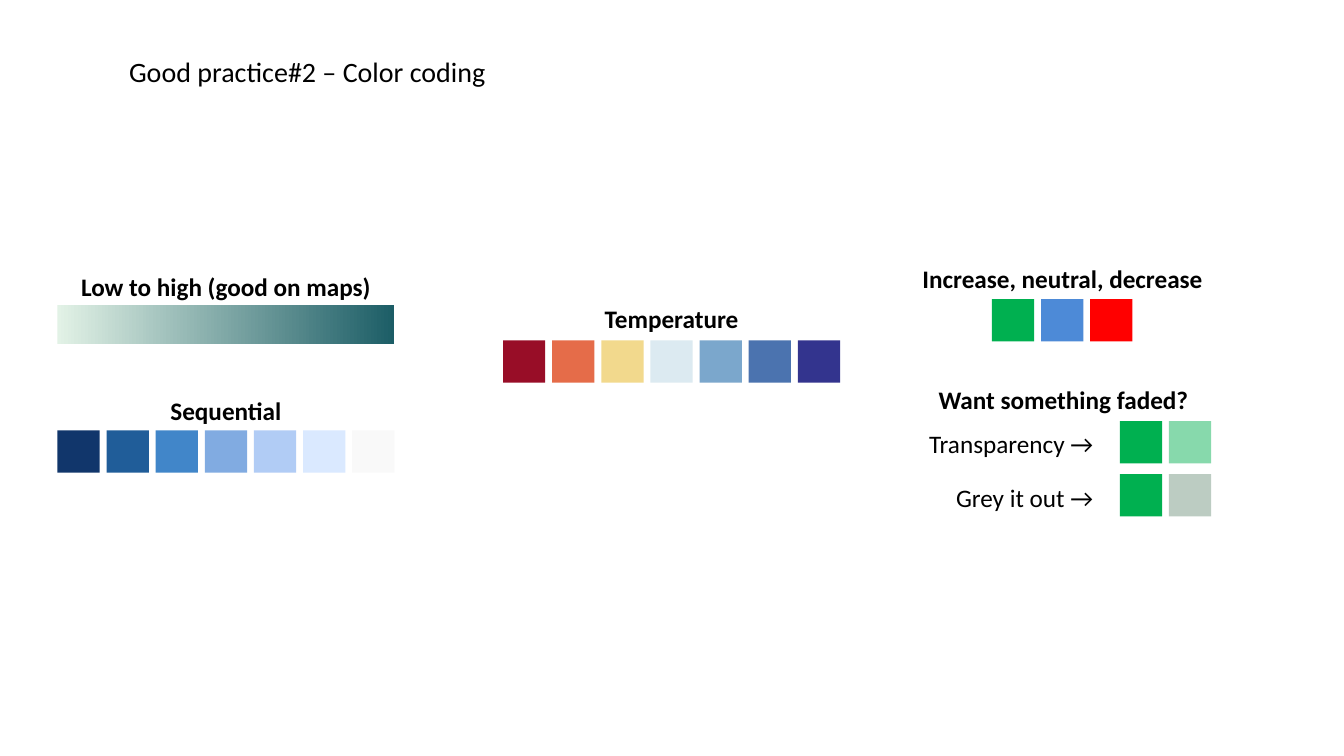
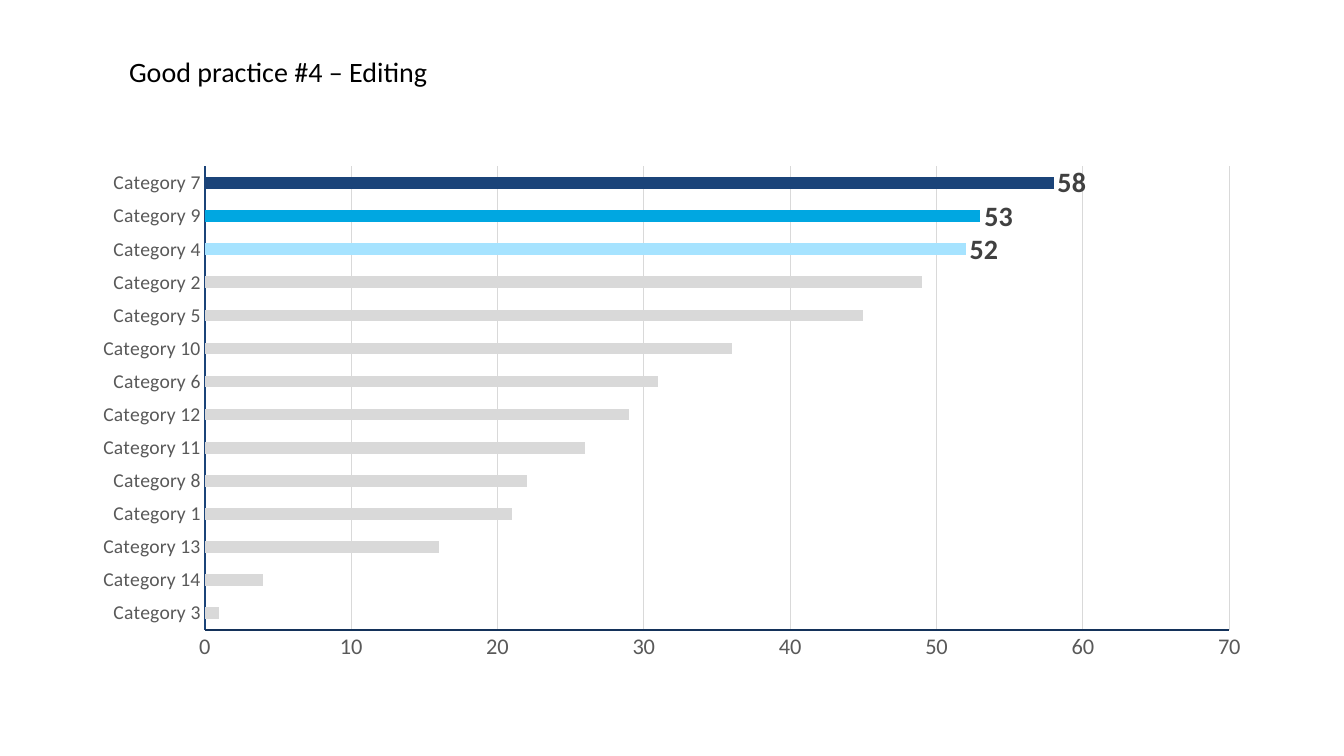
from dataclasses import dataclass

from lxml.etree import SubElement
from pptx import Presentation
from pptx.chart.data import CategoryChartData
from pptx.dml.color import RGBColor
from pptx.enum.chart import XL_CHART_TYPE, XL_LABEL_POSITION, XL_TICK_MARK
from pptx.enum.shapes import MSO_SHAPE
from pptx.enum.text import MSO_ANCHOR, MSO_AUTO_SIZE, PP_ALIGN
from pptx.oxml.ns import qn
from pptx.util import Pt

COLOR_TITLE = "Good practice#2 – Color coding"
CHART_TITLE = "Good practice #4 – Editing"

PANELS = [
    {"heading": ("Low to high (good on maps)", 41, 190),
     "gradient": ("E2F2E6", "1C5D66", 41, 218.2)},
    {"heading": ("Sequential", 41, 278.6),
     "rows": [(41, 307.4, ["11366B", "205D99", "4186C9", "81ABE1",
                           "B1CCF5", "DAE9FF", "F9F9F9"])]},
    {"heading": ("Temperature", 359.3, 213.1),
     "rows": [(359.3, 243.2, ["980D27", "E56C49", "F2D98D", "DCEAF1",
                              "7BA7CC", "4B73AF", "33348E"])]},
    {"heading": ("Increase, neutral, decrease", 638.6, 184.3),
     "rows": [(708.5, 213.6, ["00B050", "4D8AD7", "FF0000"])]},
    {"heading": ("Want something faded?", 639.2, 270.7),
     "labels": [("Transparency →", 638, 302.6), ("Grey it out →", 638, 340.6)],
     "rows": [(799.9, 300.8, ["00B050", ("00B050", 47)]),
              (799.9, 338.6, ["00B050", "BCCCC2"])]},
]

BARS = [
    ("Category 3", 1), ("Category 14", 4), ("Category 13", 16),
    ("Category 1", 21), ("Category 8", 22), ("Category 11", 26),
    ("Category 12", 29), ("Category 6", 31), ("Category 10", 36),
    ("Category 5", 45), ("Category 2", 49), ("Category 4", 52),
    ("Category 9", 53), ("Category 7", 58),
]
HIGHLIGHTS = {"Category 4": "A6E3FF", "Category 9": "00A7E1", "Category 7": "1B4479"}


@dataclass(frozen=True)
class Theme:
    font: str = "Calibri"
    text: str = "000000"
    axis_text: str = "595959"
    label_text: str = "404040"
    bar: str = "D9D9D9"
    grid: str = "D9D9D9"
    category_line: str = "1B4479"
    value_line: str = "14325A"
    title_size: float = 20
    body_size: float = 18
    category_size: float = 14
    value_size: float = 16
    label_size: float = 20
    chart_size: float = 10


THEME = Theme()
SQUARE = 30.2
PITCH = 35.1
PANEL_WIDTH = 6 * PITCH + SQUARE
GRADIENT_HEIGHT = 27.4
LABEL_WIDTH = 150
TEXT_HEIGHT = 29


def points(*lengths):
    return [Pt(length) for length in lengths]


def rgb(value):
    return RGBColor.from_string(value)


def apply_format(target, values):
    for name, value in values.items():
        setattr(target, name, value)


def style_font(font, size, color, bold=False):
    apply_format(font, {"name": THEME.font, "size": Pt(size), "bold": bold})
    font.color.rgb = rgb(color)


def style_line(line, color, width):
    line.color.rgb = rgb(color)
    line.width = Pt(width)


def add_titled_slide(presentation, text):
    slide = presentation.slides.add_slide(presentation.slide_layouts[5])
    title = slide.shapes.title
    left, top, width, height = points(92.2, 38.9, 319, 27.4)
    apply_format(title, {"left": left, "top": top, "width": width, "height": height})
    frame = title.text_frame
    apply_format(frame, {
        "text": text, "word_wrap": True, "auto_size": MSO_AUTO_SIZE.NONE,
        "vertical_anchor": MSO_ANCHOR.MIDDLE, "margin_left": 0,
        "margin_right": 0, "margin_top": 0, "margin_bottom": 0,
    })
    paragraph = frame.paragraphs[0]
    apply_format(paragraph, {"alignment": PP_ALIGN.LEFT, "line_spacing": 0.9})
    style_font(paragraph.runs[0].font, THEME.title_size, THEME.text)
    return slide


def add_text(shapes, text, left, top, width, alignment, bold=False):
    box = shapes.add_textbox(*points(left, top, width, TEXT_HEIGHT))
    apply_format(box.text_frame, {
        "text": text, "word_wrap": True, "auto_size": MSO_AUTO_SIZE.SHAPE_TO_FIT_TEXT,
    })
    paragraph = box.text_frame.paragraphs[0]
    paragraph.alignment = alignment
    style_font(paragraph.runs[0].font, THEME.body_size, THEME.text, bold)


def add_rectangle(shapes, left, top, width, height):
    shape = shapes.add_shape(MSO_SHAPE.RECTANGLE, *points(left, top, width, height))
    shape.shadow.inherit = False
    shape.line.fill.background()
    return shape


def add_swatch(shapes, left, top, color):
    value, opacity = color if isinstance(color, tuple) else (color, 100)
    shape = add_rectangle(shapes, left, top, SQUARE, SQUARE)
    shape.fill.solid()
    shape.fill.fore_color.rgb = rgb(value)
    if opacity < 100:
        fill_color = shape.element.find(".//" + qn("a:srgbClr"))
        SubElement(fill_color, qn("a:alpha"), val=str(opacity * 1000))


def add_gradient(shapes, start, end, left, top):
    shape = add_rectangle(shapes, left, top, PANEL_WIDTH, GRADIENT_HEIGHT)
    shape.fill.gradient()
    shape.fill.gradient_angle = 0
    for stop, color, position in zip(shape.fill.gradient_stops, (start, end), (0, 1)):
        stop.color.rgb = rgb(color)
        stop.position = position


def add_panel(slide, panel):
    shapes = slide.shapes.add_group_shape().shapes
    add_text(shapes, *panel["heading"], PANEL_WIDTH, PP_ALIGN.CENTER, bold=True)
    if "gradient" in panel:
        add_gradient(shapes, *panel["gradient"])
    for label in panel.get("labels", []):
        add_text(shapes, *label, LABEL_WIDTH, PP_ALIGN.RIGHT)
    for left, top, colors in panel.get("rows", []):
        for index, color in enumerate(colors):
            add_swatch(shapes, left + index * PITCH, top, color)


def style_axis(axis, size, line_color):
    axis.major_tick_mark = XL_TICK_MARK.NONE
    axis.minor_tick_mark = XL_TICK_MARK.NONE
    style_font(axis.tick_labels.font, size, THEME.axis_text)
    style_line(axis.format.line, line_color, 1.25)


def add_bar_chart(slide):
    data = CategoryChartData()
    data.categories = [category for category, value in BARS]
    data.add_series("Series 1", [value for category, value in BARS])
    chart = slide.shapes.add_chart(
        XL_CHART_TYPE.BAR_CLUSTERED, *points(56.9, 111.6, 846, 367.9), data
    ).chart
    apply_format(chart, {"has_legend": False, "has_title": False})
    style_font(chart.font, THEME.chart_size, THEME.text)

    style_axis(chart.category_axis, THEME.category_size, THEME.category_line)
    value_axis = chart.value_axis
    style_axis(value_axis, THEME.value_size, THEME.value_line)
    apply_format(value_axis, {
        "minimum_scale": 0, "maximum_scale": 70, "major_unit": 10,
        "has_major_gridlines": True,
    })
    style_line(value_axis.major_gridlines.format.line, THEME.grid, 0.75)

    plot = chart.plots[0]
    apply_format(plot, {"gap_width": 182, "vary_by_categories": False})
    series = plot.series[0]
    series.invert_if_negative = False
    series.format.fill.solid()
    series.format.fill.fore_color.rgb = rgb(THEME.bar)
    series.data_labels.show_value = False
    for index, (category, value) in enumerate(BARS):
        if category in HIGHLIGHTS:
            point = series.points[index]
            point.format.fill.solid()
            point.format.fill.fore_color.rgb = rgb(HIGHLIGHTS[category])
            style_font(point.data_label.font, THEME.label_size, THEME.label_text, True)
            point.data_label.position = XL_LABEL_POSITION.OUTSIDE_END


def main():
    presentation = Presentation()
    apply_format(presentation, {"slide_width": Pt(960), "slide_height": Pt(540)})
    color_slide = add_titled_slide(presentation, COLOR_TITLE)
    for panel in PANELS:
        add_panel(color_slide, panel)
    add_bar_chart(add_titled_slide(presentation, CHART_TITLE))
    presentation.save("out.pptx")


if __name__ == "__main__":
    main()
